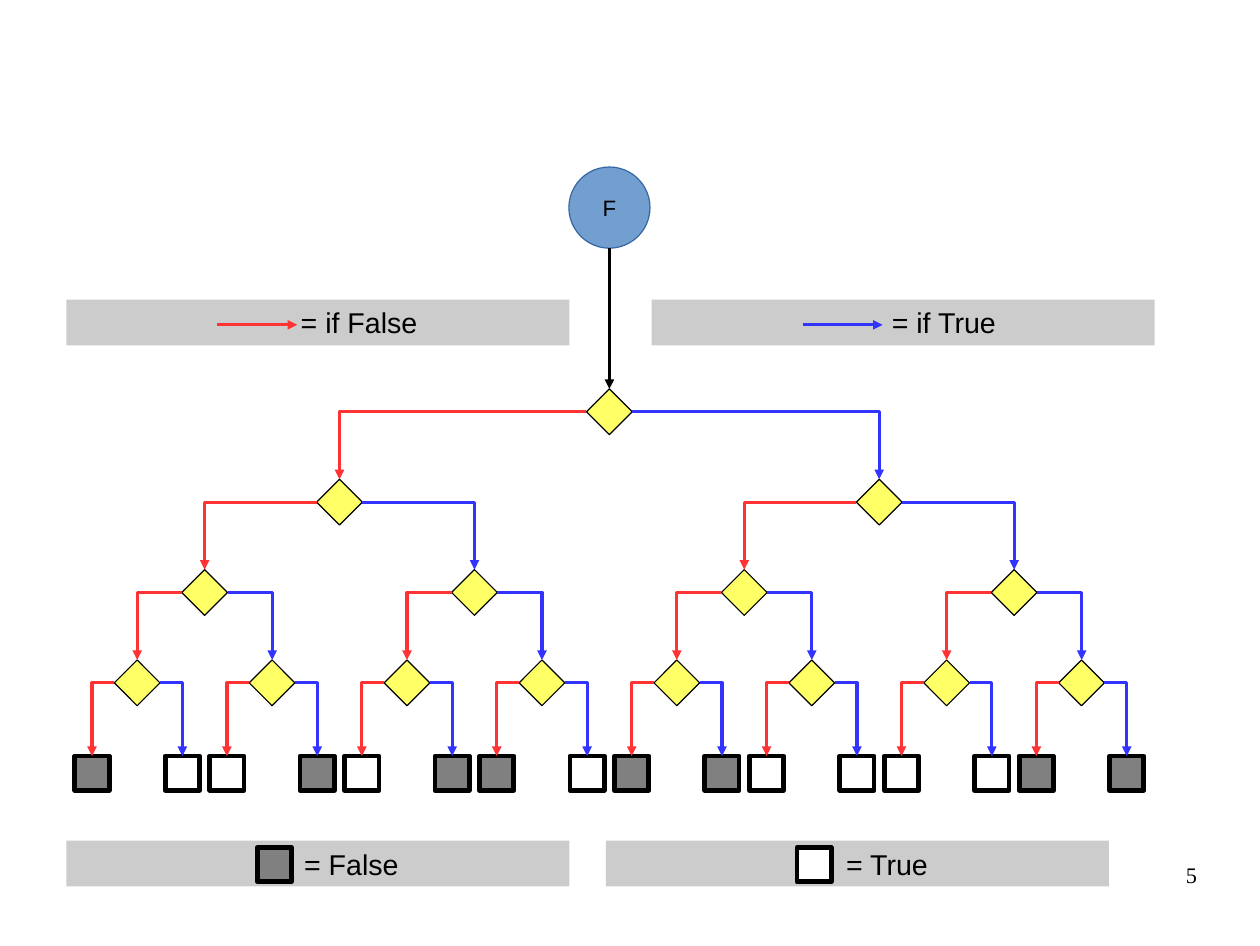
from lxml import etree
from pptx import Presentation
from pptx.dml.color import RGBColor
from pptx.enum.shapes import MSO_CONNECTOR, MSO_SHAPE
from pptx.enum.text import MSO_ANCHOR, PP_ALIGN
from pptx.oxml.ns import qn
from pptx.util import Inches, Pt

RECT, OVAL, DIAMOND = MSO_SHAPE.RECTANGLE, MSO_SHAPE.OVAL, MSO_SHAPE.DIAMOND
STRAIGHT, ELBOW = MSO_CONNECTOR.STRAIGHT, MSO_CONNECTOR.ELBOW
LEFT, CENTER, RIGHT = PP_ALIGN.LEFT, PP_ALIGN.CENTER, PP_ALIGN.RIGHT
MIDDLE, UPPER = MSO_ANCHOR.MIDDLE, MSO_ANCHOR.TOP

COLORS = {
    "black": "000000", "white": "FFFFFF", "gray": "808080", "panel": "CCCCCC",
    "red": "FF3333", "blue": "3333FF", "yellow": "FFFF66",
    "disc": "729FCF", "rim": "3465A4",
}
LEAVES = "0110100100111100"  # 0 = False, 1 = True
FILLS = {"0": "gray", "1": "white"}
NODE, LEAF, STEP = 0.4, 0.3, 0.79
# Connection sites of a node
TOP, WEST, EAST = 0, 1, 3


def color(name):
    return RGBColor.from_string(COLORS[name])


def add_shape(slide, kind, box, fill, line=None, width=0):
    shape = slide.shapes.add_shape(kind, *map(Inches, box))
    shape.shadow.inherit = False
    shape.fill.solid()
    shape.fill.fore_color.rgb = color(fill)
    if line:
        shape.line.color.rgb = color(line)
        shape.line.width = Pt(width)
    else:
        shape.line.fill.background()
    return shape


def add_leaf(slide, x, y, value):
    box = (x - LEAF / 2, y - LEAF / 2, LEAF, LEAF)
    return add_shape(slide, RECT, box, FILLS[value], "black", 3)


def write(shape, text, size, font="Arial", align=CENTER, anchor=MIDDLE, left=0):
    frame = shape.text_frame
    form = {
        "word_wrap": True, "vertical_anchor": anchor, "margin_left": Inches(left),
        "margin_right": 0, "margin_top": 0, "margin_bottom": 0,
    }
    for name, value in form.items():
        setattr(frame, name, value)
    para = frame.paragraphs[0]
    para.text, para.alignment = text, align
    for name, value in {"name": font, "size": Pt(size)}.items():
        setattr(para.font, name, value)
    para.font.color.rgb = color("black")


def add_arrow(slide, kind, tint, ends=(0, 0, 0, 0)):
    arrow = slide.shapes.add_connector(kind, *map(Inches, ends))
    arrow.line.color.rgb = color(tint)
    arrow.line.width = Pt(0)
    props = arrow._element.spPr
    tail = etree.SubElement(props.find(qn("a:ln")), qn("a:tailEnd"))
    tail.set("type", "triangle")
    etree.SubElement(props, qn("a:effectLst"))
    if kind == ELBOW:  # a single corner
        props.find(qn("a:prstGeom")).set("prst", "bentConnector2")
    return arrow


def draw_tree(slide, x, y, leaves, reach):
    """Draw the node at x, y with both its branches; return the node."""
    if len(leaves) == 1:
        return add_leaf(slide, x, y, leaves)
    box = (x - NODE / 2, y - NODE / 2, NODE, NODE)
    node = add_shape(slide, DIAMOND, box, "yellow", "black")
    half = len(leaves) // 2
    # The last row is set wider than half the reach
    gap = 0.395 if half == 1 else reach
    for side, part, site, tint in ((-1, leaves[:half], WEST, "red"),
                                   (1, leaves[half:], EAST, "blue")):
        child = draw_tree(slide, x + side * gap, y + STEP, part, reach / 2)
        arrow = add_arrow(slide, ELBOW, tint)
        arrow.begin_connect(node, site)
        arrow.end_connect(child, TOP)
    return node


def draw_root(slide, x, y, size, root):
    disc = add_shape(slide, OVAL, (x - size / 2, y, size, size), "disc", "rim")
    write(disc, "F", 14)
    low = y + size
    arrow = add_arrow(slide, STRAIGHT, "black", (x, low, x, low + 1))
    arrow.end_connect(root, TOP)


def draw_panel(slide, x, y, text, left):
    panel = add_shape(slide, RECT, (x, y, 4.4, 0.4), "panel")
    write(panel, text, 18, align=LEFT, left=left)


def arrow_key(slide, x, y, text, left, tint):
    draw_panel(slide, x, y, text, left)
    mid = y + 0.22
    add_arrow(slide, STRAIGHT, tint, (x + 1.32, mid, x + 2.02, mid))


def leaf_key(slide, x, y, text, left, value):
    draw_panel(slide, x, y, text, left)
    add_leaf(slide, x + 1.82, y + 0.21, value)


def draw_number(slide, box):
    field = slide.shapes.add_textbox(*map(Inches, box))
    write(field, "5", 14, "Times New Roman", RIGHT, UPPER)


def main():
    deck = Presentation()
    deck.slide_width, deck.slide_height = Inches(11.02), Inches(8.27)
    slide = deck.slides.add_slide(deck.slide_layouts[6])

    # Decision tree
    root = draw_tree(slide, 5.33, 3.6, LEAVES, 2.36)
    draw_root(slide, 5.33, 1.46, 0.71, root)

    # Keys
    arrow_key(slide, 0.58, 2.62, "= if False", 2.05, "red")
    arrow_key(slide, 5.7, 2.62, "= if True", 2.1, "blue")
    leaf_key(slide, 0.58, 7.35, "= False", 2.08, "0")
    leaf_key(slide, 5.3, 7.35, "= True", 2.1, "1")

    # Page number
    draw_number(slide, (7.9, 7.53, 2.57, 0.57))
    deck.save("out.pptx")


if __name__ == "__main__":
    main()
